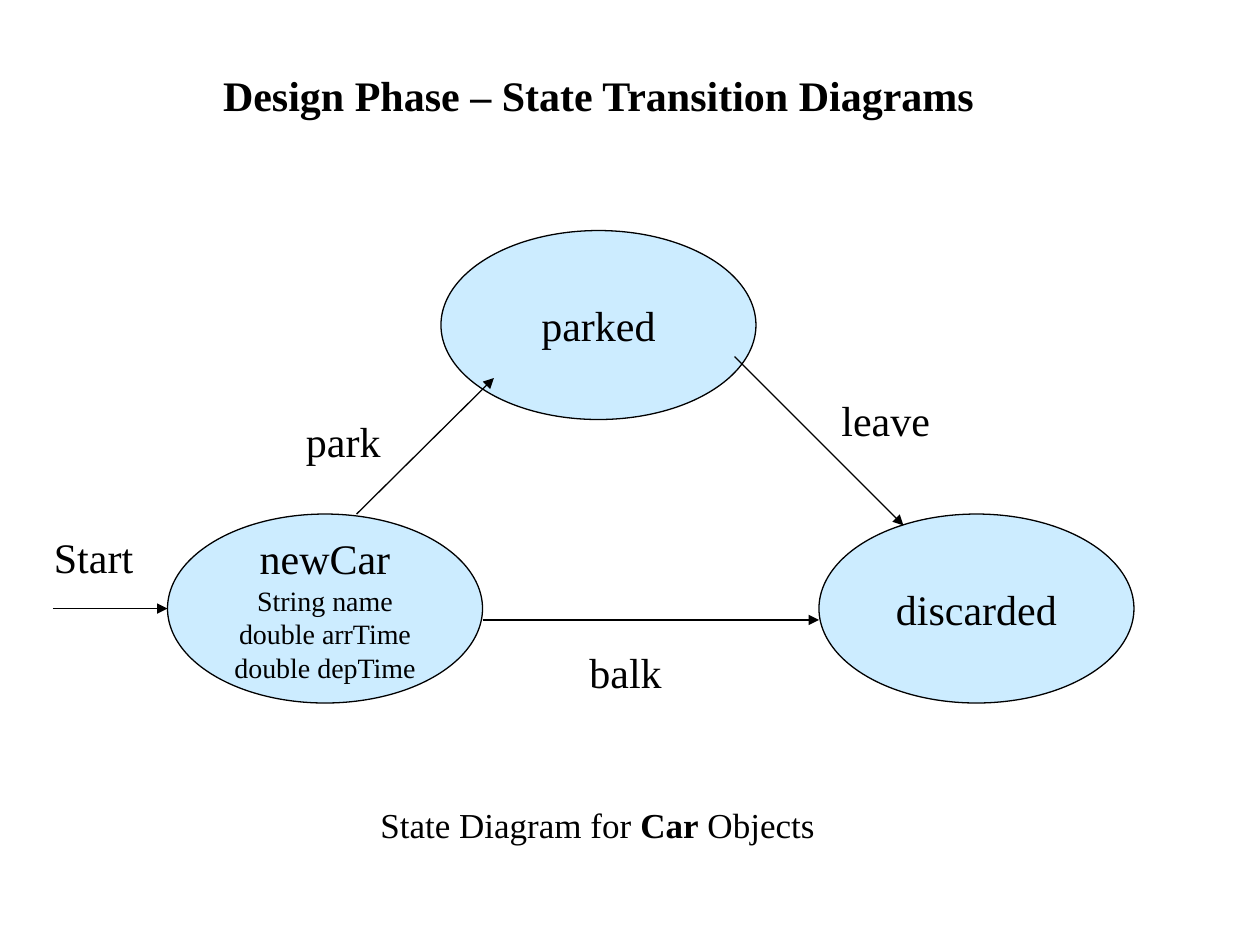
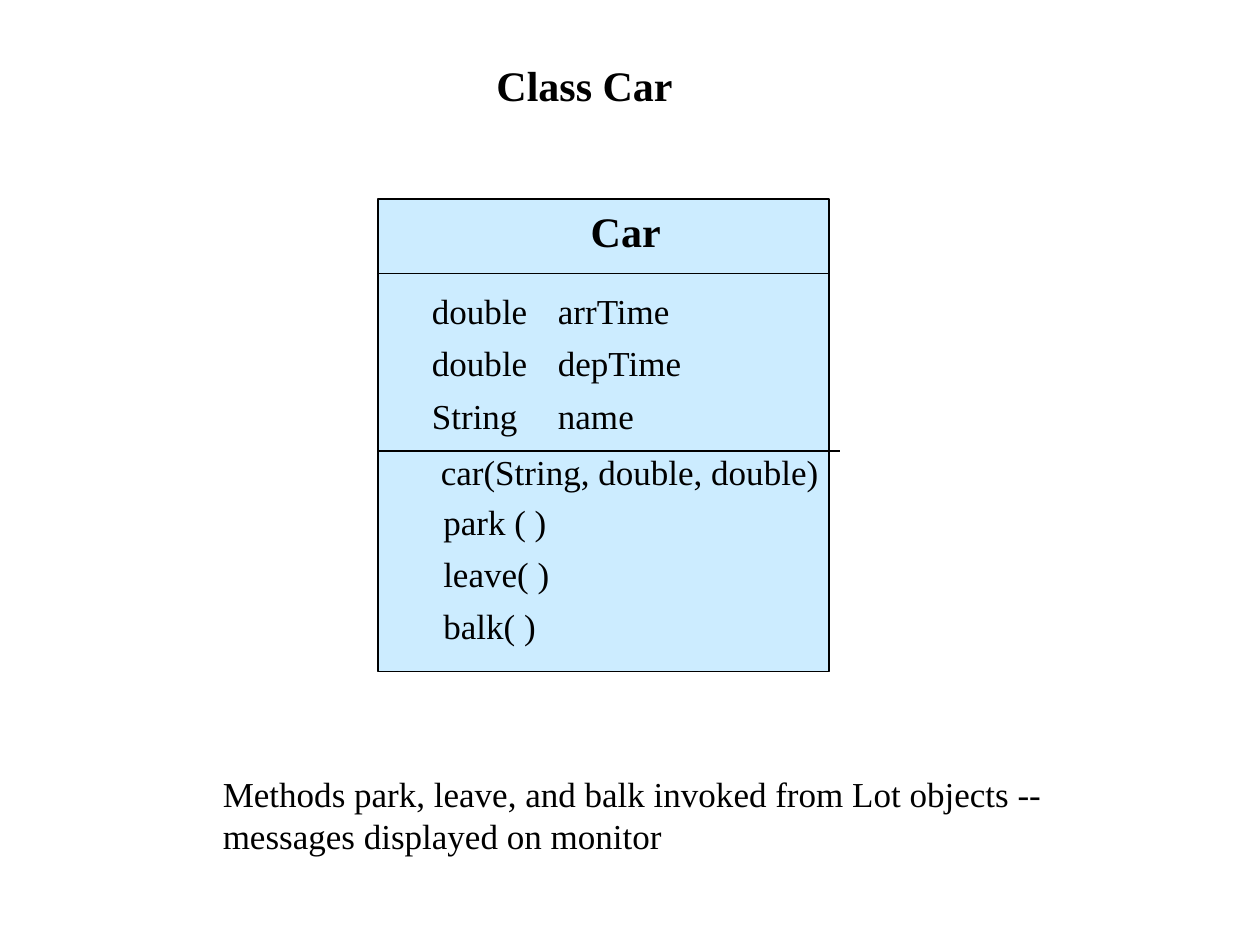
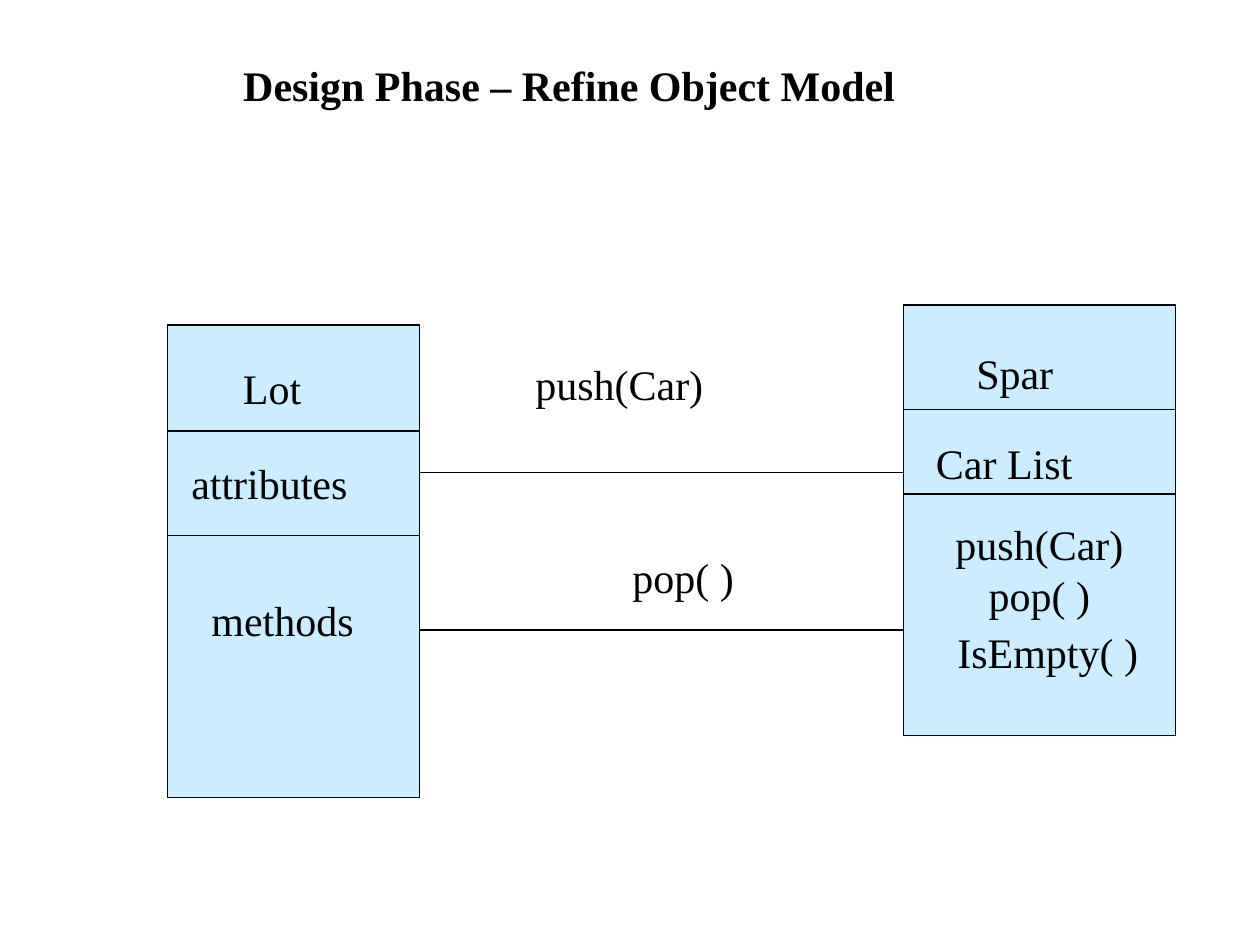
"""Builds three slides on the design of a car park simulation."""
import dataclasses

import lxml.etree
import pptx
import pptx.dml.color
import pptx.enum.shapes
import pptx.enum.text
import pptx.oxml.ns
import pptx.util

Inches = pptx.util.Inches
Pt = pptx.util.Pt
Preset = pptx.enum.shapes.MSO_SHAPE
Align = pptx.enum.text.PP_ALIGN
Anchor = pptx.enum.text.MSO_ANCHOR
qn = pptx.oxml.ns.qn


@dataclasses.dataclass(frozen=True)
class Theme:
    font: str = "Times New Roman"
    ink: pptx.dml.color.RGBColor = pptx.dml.color.RGBColor(0, 0, 0)
    fill: pptx.dml.color.RGBColor = pptx.dml.color.RGBColor(0xCC, 0xEC, 0xFF)
    large: float = 24
    medium: float = 20
    small: float = 16
    stroke: float = 0.75
    large_height: float = 0.5
    medium_height: float = 0.44


class Sketch:
    def __init__(self, deck, theme):
        self.deck = deck
        self.theme = theme
        self.page = None

    def format_paragraph(self, para, size, bold=False, align=Align.LEFT):
        para.alignment = align
        for span in para.runs:
            span.font.name = self.theme.font
            span.font.size = Pt(size)
            span.font.bold = bold
            span.font.color.rgb = self.theme.ink

    def new_page(self, title, left, top, width):
        self.page = self.deck.slides.add_slide(self.deck.slide_layouts[5])
        box = self.page.shapes.title
        box.left, box.top = Inches(left), Inches(top)
        box.width, box.height = Inches(width), Inches(self.theme.large_height)
        self.fill_text(box, title, self.theme.large, bold=True)

    def fill_text(self, box, text, size, bold=False):
        frame = box.text_frame
        frame.text = text
        frame.word_wrap = True
        frame.auto_size = pptx.enum.text.MSO_AUTO_SIZE.NONE
        frame.vertical_anchor = Anchor.TOP
        for para in frame.paragraphs:
            self.format_paragraph(para, size, bold)

    def label(self, text, left, top, width, bold=False):
        box = self.page.shapes.add_textbox(
            Inches(left), Inches(top), Inches(width), Inches(self.theme.large_height))
        self.fill_text(box, text, self.theme.large, bold)

    def note(self, text, left, top, width, height=None):
        box = self.page.shapes.add_textbox(
            Inches(left), Inches(top), Inches(width),
            Inches(height or self.theme.medium_height))
        self.fill_text(box, text, self.theme.medium)
        return box

    def caption(self, before, strong, after, left, top, width):
        box = self.note(before, left, top, width)
        para = box.text_frame.paragraphs[0]
        for text in (strong, after):
            para.add_run().text = text
        self.format_paragraph(para, self.theme.medium)
        para.runs[1].font.bold = True

    def shape(self, preset, left, top, width, height, lines=()):
        box = self.page.shapes.add_shape(
            preset, Inches(left), Inches(top), Inches(width), Inches(height))
        box.shadow.inherit = False
        box.fill.solid()
        box.fill.fore_color.rgb = self.theme.fill
        box.line.color.rgb = self.theme.ink
        box.line.width = Pt(self.theme.stroke)
        if lines:
            frame = box.text_frame
            frame.text = "\n".join(lines)
            frame.word_wrap = False
            frame.vertical_anchor = Anchor.MIDDLE
            for para in frame.paragraphs:
                self.format_paragraph(para, self.theme.large, align=Align.CENTER)
        return box

    def state(self, name, left, top, fields=()):
        box = self.shape(Preset.OVAL, left, top, 2.5, 1.5, [name, *fields])
        for para in box.text_frame.paragraphs[1:]:
            self.format_paragraph(para, self.theme.small, align=Align.CENTER)

    def line(self, start, end, arrow=False):
        link = self.page.shapes.add_connector(
            pptx.enum.shapes.MSO_CONNECTOR.STRAIGHT,
            *(Inches(value) for value in (*start, *end)))
        link.line.color.rgb = self.theme.ink
        link.line.width = Pt(self.theme.stroke)
        properties = link._element.spPr
        if arrow:
            head = lxml.etree.SubElement(properties.find(qn("a:ln")), qn("a:tailEnd"))
            head.set("type", "triangle")
        lxml.etree.SubElement(properties, qn("a:effectLst"))


def draw_states(sketch):
    sketch.new_page("Design Phase – State Transition Diagrams", 1.67, 0.5, 6.19)
    sketch.state("parked", 3.5, 1.83)
    sketch.state("discarded", 6.5, 4.08)
    sketch.state("newCar", 1.33, 4.08,
                 ["String name", "double arrTime", "double depTime"])
    for start, end in (
        ((0.42, 4.83), (1.33, 4.83)),
        ((2.83, 4.08), (3.92, 3)),
        ((3.83, 4.92), (6.5, 4.92)),
        ((5.83, 2.83), (7.17, 4.17)),
    ):
        sketch.line(start, end, arrow=True)
    for event, left, top in (
        ("Start", 0.33, 4.17),
        ("park", 2.33, 3.25),
        ("balk", 4.58, 5.08),
        ("leave", 6.58, 3.08),
    ):
        sketch.label(event, left, top, 1)
    sketch.caption("State Diagram for ", "Car", " Objects", 2.92, 6.33, 4.08)


def draw_car_class(sketch):
    row_step = 0.415
    sketch.new_page("Class Car", 3.84, 0.42, 1.65)
    sketch.shape(Preset.RECTANGLE, 3, 1.58, 3.58, 3.75)
    sketch.label("Car", 4.59, 1.58, 0.8, bold=True)
    sketch.line((3, 2.17), (6.58, 2.17))
    for row, field in enumerate(("double\tarrTime", "double\tdepTime", "String\tname")):
        sketch.note(field, 3.33, 2.25 + row * row_step, 2.5)
    sketch.line((3, 3.58), (6.67, 3.58))
    sketch.note("car(String, double, double)", 3.4, 3.53, 3.25)
    for row, method in enumerate(("park ( )", "leave( )", "balk( )")):
        sketch.note(method, 3.42, 3.92 + row * row_step, 1.1)
    sketch.note("Methods park, leave, and balk invoked from Lot objects -- "
                "messages displayed on monitor", 1.67, 6.08, 7.17, 0.77)


def draw_object_model(sketch):
    lot_left, lot_right, spar_left, spar_right = 1.33, 3.33, 7.17, 9.33
    sketch.new_page("Design Phase – Refine Object Model", 1.83, 0.42, 6.42)
    spar = sketch.shape(Preset.RECTANGLE, spar_left, 2.42, spar_right - spar_left, 3.42,
                        ["push(Car)", "pop( )"])
    spar.text_frame.margin_top = Inches(0.82)
    sketch.shape(Preset.RECTANGLE, lot_left, 2.58, lot_right - lot_left, 3.75)
    for left, right, heights in (
        (lot_left, lot_right, (3.42, 4.25)),
        (spar_left, spar_right, (3.25, 3.92)),
        (lot_right, spar_left, (3.75, 5)),
    ):
        for height in heights:
            sketch.line((left, height), (right, height))
    for text, left, top, width in (
        ("Spar", 7.65, 2.71, 1.1),
        ("Lot", 1.83, 2.83, 1.02),
        ("push(Car)", 4.15, 2.8, 1.68),
        ("pop( )", 4.92, 4.33, 1.25),
        ("Car List", 7.33, 3.42, 1.83),
        ("IsEmpty( )", 7.5, 4.92, 1.75),
        ("attributes", 1.42, 3.58, 2),
        ("methods", 1.58, 4.67, 1.58),
    ):
        sketch.label(text, left, top, width)


def main():
    deck = pptx.Presentation()
    deck.slide_width, deck.slide_height = Inches(10), Inches(7.5)
    sketch = Sketch(deck, Theme())
    draw_states(sketch)
    draw_car_class(sketch)
    draw_object_model(sketch)
    deck.save("out.pptx")


if __name__ == "__main__":
    main()
